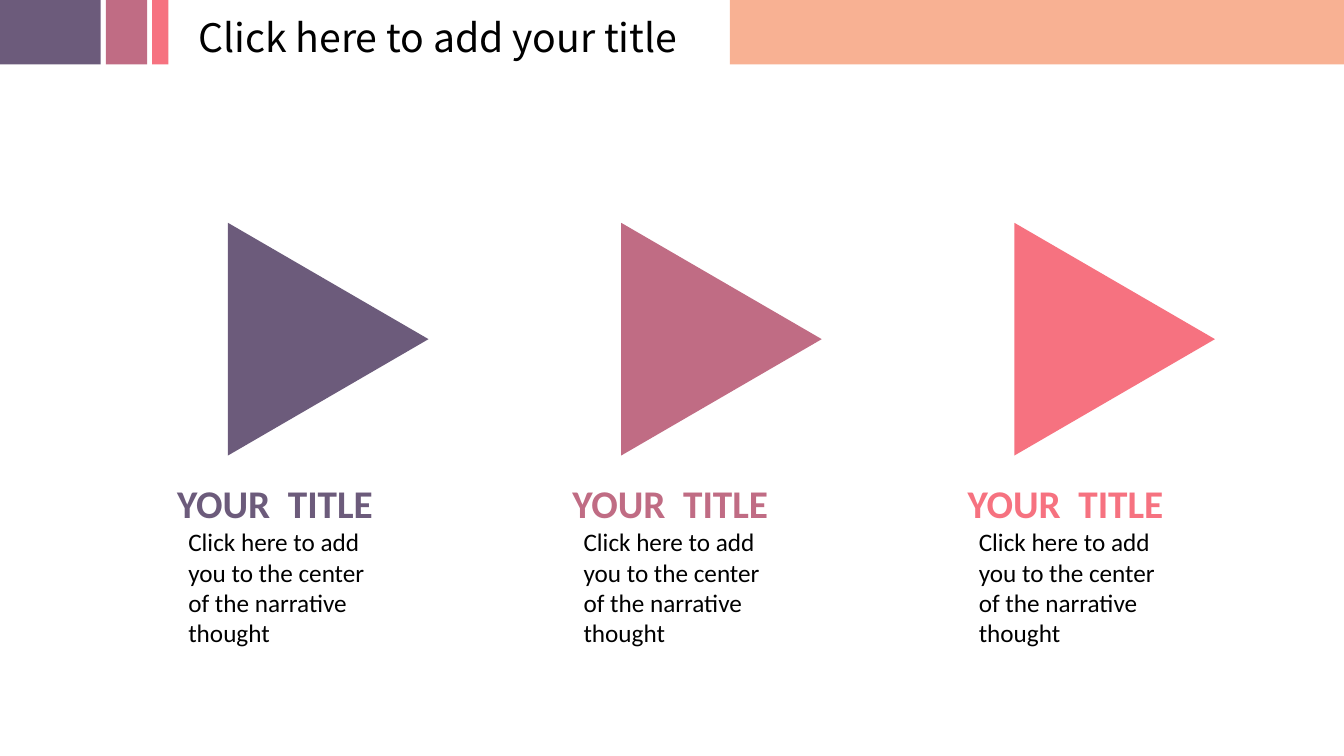
"""Build a three-step slide with a colour-block header and captioned arrows."""
import pptx
import pptx.util
import pptx.dml.color
import pptx.enum.shapes
import pptx.enum.text

COLOURS = {
    "plum": "6C5B7B",
    "mauve": "C06C84",
    "coral": "F67280",
    "peach": "F8B193",
    "black": "000000",
}
HEADING = "Click here to add your title"
STEPS = [
    ("plum", "YOUR  TITLE", "Click here to add you to the center of the narrative thought"),
    ("mauve", "YOUR  TITLE", "Click here to add you to the center of the narrative thought"),
    ("coral", "YOUR  TITLE", "Click here to add you to the center of the narrative thought"),
]
HEADER_BLOCKS = [("peach", 7.24, 6.09), ("plum", 0, 1), ("mauve", 1.05, 0.41), ("coral", 1.51, 0.16)]
FORMATS = {
    "heading": {"name": "Noto Sans CJK SC", "size": pptx.util.Pt(28), "bold": False},
    "step title": {"name": "Calibri", "size": pptx.util.Pt(28), "bold": True},
    "step body": {"name": "Calibri", "size": pptx.util.Pt(18), "bold": False},
}
SLIDE_WIDTH, SLIDE_HEIGHT = 13.33, 7.5
HEADER_HEIGHT = 0.64
ARROW_LEFT, ARROW_TOP, ARROW_PITCH = 2.1, 2.37, 3.9
ARROW_WIDTH, ARROW_HEIGHT = 2.31, 1.99
CAPTION_LEFT, CAPTION_TOP, CAPTION_PITCH = 1.66, 4.71, 3.92
CAPTION_WIDTH, CAPTION_HEIGHT = 2.16, 1.78
BODY_INDENT = 0.11


def inches(*lengths):
    return [pptx.util.Inches(length) for length in lengths]


def rgb(colour):
    return pptx.dml.color.RGBColor.from_string(COLOURS[colour])


def add_block(slide, kind, colour, *place):
    block = slide.shapes.add_shape(kind, *inches(*place))
    block.shadow.inherit = False
    block.fill.solid()
    block.fill.fore_color.rgb = rgb(colour)
    block.line.fill.background()
    return block


def add_text(slide, lines, *place):
    frame = slide.shapes.add_textbox(*inches(*place)).text_frame
    frame.word_wrap = True
    frame.vertical_anchor = pptx.enum.text.MSO_ANCHOR.TOP
    for number, (wording, style, colour) in enumerate(lines):
        paragraph = frame.add_paragraph() if number else frame.paragraphs[0]
        run = paragraph.add_run()
        run.text = wording
        run.font.color.rgb = rgb(colour)
        for attribute, value in FORMATS[style].items():
            setattr(run.font, attribute, value)
        if style == "step body":
            paragraph._p.get_or_add_pPr().set("marL", str(pptx.util.Inches(BODY_INDENT)))


def main():
    deck = pptx.Presentation()
    deck.slide_width, deck.slide_height = inches(SLIDE_WIDTH, SLIDE_HEIGHT)
    slide = deck.slides.add_slide(deck.slide_layouts[6])
    shapes = pptx.enum.shapes.MSO_SHAPE

    for colour, left, width in HEADER_BLOCKS:
        add_block(slide, shapes.RECTANGLE, colour, left, 0, width, HEADER_HEIGHT)
    add_text(slide, [(HEADING, "heading", "black")], 1.87, 0.08, 5.18, 1.04)

    for column, (colour, title, body) in enumerate(STEPS):
        arrow = add_block(slide, shapes.ISOSCELES_TRIANGLE, colour,
                          ARROW_LEFT + column * ARROW_PITCH, ARROW_TOP, ARROW_WIDTH, ARROW_HEIGHT)
        arrow.rotation = 90
        add_text(slide, [(title, "step title", colour), (body, "step body", "black")],
                 CAPTION_LEFT + column * CAPTION_PITCH, CAPTION_TOP, CAPTION_WIDTH, CAPTION_HEIGHT)

    deck.save("out.pptx")


if __name__ == "__main__":
    main()
